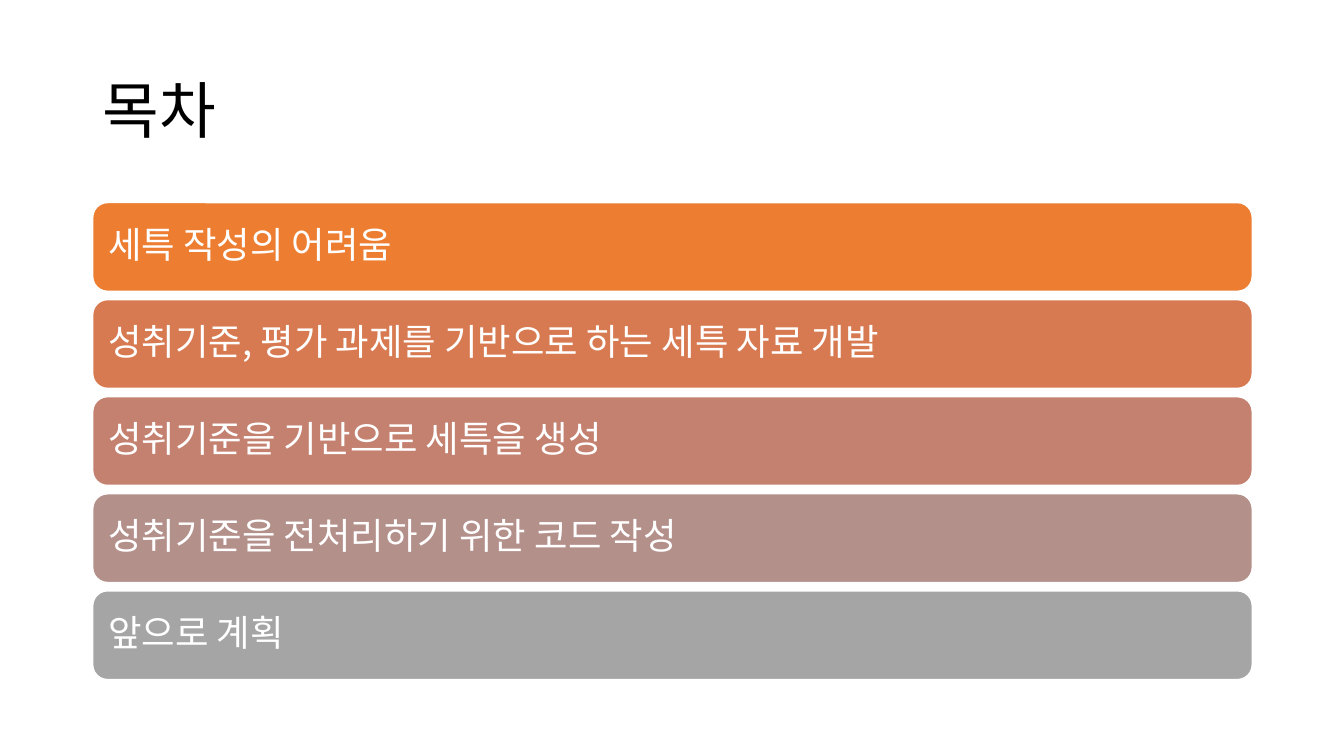
import pptx
import pptx.dml.color
import pptx.enum.shapes
import pptx.enum.text
import pptx.oxml.ns
import pptx.util
from dataclasses import dataclass
from lxml import etree

Inches, Pt = pptx.util.Inches, pptx.util.Pt
RGB = pptx.dml.color.RGBColor.from_string


@dataclass(frozen=True)
class Theme:
    font: str = "Noto Sans CJK KR"
    ink: str = "000000"
    paper: str = "FFFFFF"
    bars: tuple = ("ED7D31", "D87A51", "C48170", "B4908B", "A5A5A5")
    title_size: int = 44
    item_size: int = 26


TOPICS = (
    "세특 작성의 어려움",
    "성취기준, 평가 과제를 기반으로 하는 세특 자료 개발",
    "성취기준을 기반으로 세특을 생성",
    "성취기준을 전처리하기 위한 코드 작성",
    "앞으로 계획",
)
LEFT, WIDTH = 0.92, 11.5
BAR_TOP, BAR_HEIGHT, BAR_PITCH = 2.01, 0.88, 0.963


def write_text(tf, text, *, font, size, color, inset=(0.1, 0.05), space_after=0):
    """Fill a text frame; inset is (sides, top and bottom) in inches."""
    tf.word_wrap = True
    tf.vertical_anchor = pptx.enum.text.MSO_ANCHOR.MIDDLE
    tf.margin_left = tf.margin_right = Inches(inset[0])
    tf.margin_top = tf.margin_bottom = Inches(inset[1])
    p = tf.paragraphs[0]
    p.alignment = pptx.enum.text.PP_ALIGN.LEFT
    p.line_spacing = 0.9
    p.space_after = Pt(space_after)
    r = p.add_run()
    r.text = text
    r.font.name = font
    r.font.size = Pt(size)
    r.font.color.rgb = RGB(color)
    # Hangul takes its typeface from the East Asian slot
    ea = etree.SubElement(r.font._element, pptx.oxml.ns.qn("a:ea"))
    ea.set("typeface", font)


class SlideBuilder:
    def __init__(self, s, theme):
        self.s = s
        self.theme = theme

    def title(self, text, left, top, width, height):
        sp = self.s.shapes.add_textbox(
            Inches(left), Inches(top), Inches(width), Inches(height))
        write_text(sp.text_frame, text, font=self.theme.font,
                   size=self.theme.title_size, color=self.theme.ink)

    def bar(self, text, fill, left, top, width, height):
        sp = self.s.shapes.add_shape(
            pptx.enum.shapes.MSO_SHAPE.ROUNDED_RECTANGLE,
            Inches(left), Inches(top), Inches(width), Inches(height))
        sp.shadow.inherit = False
        sp.fill.solid()
        sp.fill.fore_color.rgb = RGB(fill)
        sp.line.color.rgb = RGB(self.theme.paper)
        sp.line.width = Pt(1)
        write_text(sp.text_frame, text, font=self.theme.font,
                   size=self.theme.item_size, color=self.theme.paper,
                   inset=(0.11, 0.11), space_after=9)


def main():
    prs = pptx.Presentation()
    prs.slide_width, prs.slide_height = Inches(13.33), Inches(7.5)
    theme = Theme()
    slide = SlideBuilder(prs.slides.add_slide(prs.slide_layouts[6]), theme)
    slide.title("목차", LEFT, 0.4, WIDTH, 1.45)
    for i, (topic, fill) in enumerate(zip(TOPICS, theme.bars)):
        slide.bar(topic, fill, LEFT, BAR_TOP + i * BAR_PITCH, WIDTH, BAR_HEIGHT)
    prs.save("out.pptx")


if __name__ == "__main__":
    main()
